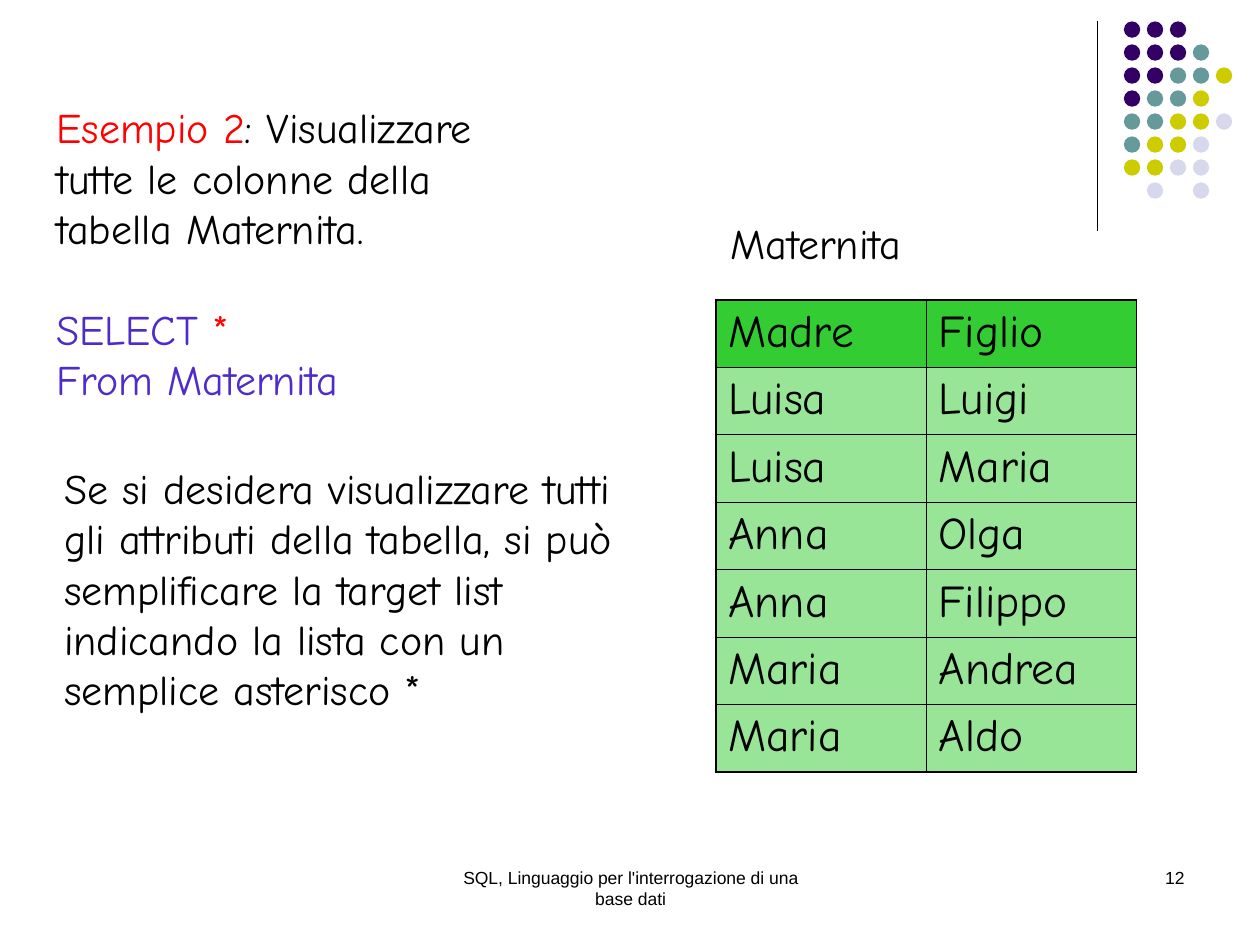
"""Build the slide on selecting every column of the Maternita table."""
from lxml.etree import SubElement
from pptx import Presentation
from pptx.dml.color import RGBColor
from pptx.enum.shapes import MSO_CONNECTOR as Connector, MSO_SHAPE as Shape
from pptx.enum.text import MSO_AUTO_SIZE as AutoSize, PP_ALIGN as Align
from pptx.oxml import parse_xml
from pptx.oxml.ns import nsdecls, qn
from pptx.util import Inches, Pt

BLACK = RGBColor(0x00, 0x00, 0x00)
RED = RGBColor(0xFF, 0x00, 0x00)
BLUE = RGBColor(0x4E, 0x2C, 0xCA)
GREEN = RGBColor(0x33, 0xCC, 0x33)
PURPLE = RGBColor(0x33, 0x00, 0x66)
TEAL = RGBColor(0x66, 0x99, 0x99)
YELLOW = RGBColor(0xCC, 0xCC, 0x00)
LILAC = RGBColor(0xD8, 0xD8, 0xEC)

BODY_FONT = "Comic Neue"
FOOTER_FONT = "Arial"
OUTER_LINE, INNER_LINE = 1.08, 0.45

DOT_COLORS = {"P": PURPLE, "T": TEAL, "Y": YELLOW, "L": LILAC}
DOT_ROWS = ["PPP", "PPPT", "PPTTY", "PTTY", "TTYYL", "TYYL", "YYLL", " L L"]
DOT_SIZE = 0.13
DOT_STEP = 0.73 / 4

ROWS = [
    ("Madre", "Figlio"),
    ("Luisa", "Luigi"),
    ("Luisa", "Maria"),
    ("Anna", "Olga"),
    ("Anna", "Filippo"),
    ("Maria", "Andrea"),
    ("Maria", "Aldo"),
]
QUERY_LINES = [
    [("Esempio 2", RED), (": Visualizzare", BLACK)],
    [("tutte le colonne della", BLACK)],
    [("tabella Maternita.", BLACK)],
    [("SELECT ", BLUE), ("*", RED)],
    [("From Maternita", BLUE)],
]
QUERY_START = 3
EXPLANATION = (
    "Se si desidera visualizzare tutti gli attributi della tabella, si può "
    "semplificare la target list indicando la lista con un semplice asterisco *"
)


def write(para, text, size=24, font=BODY_FONT, color=BLACK):
    """Append a formatted span of text to a paragraph."""
    span = para.add_run()
    span.text = text
    span.font.size = Pt(size)
    span.font.name = font
    span.font.color.rgb = color


def add_text(page, left, top, width, height, lines, align=Align.LEFT,
             wrap=True, grow=True, **style):
    """Add a text box holding lines of (text, color) spans."""
    box = page.shapes.add_textbox(
        Inches(left), Inches(top), Inches(width), Inches(height))
    frame = box.text_frame
    frame.word_wrap = wrap
    frame.auto_size = AutoSize.SHAPE_TO_FIT_TEXT if grow else AutoSize.NONE
    for index, line in enumerate(lines):
        para = frame.add_paragraph() if index else frame.paragraphs[0]
        para.alignment = align
        for text, color in line:
            write(para, text, color=color, **style)
    return box


def add_rule(page, left, top, bottom):
    """Add the thin vertical line beside the dots."""
    rule = page.shapes.add_connector(
        Connector.STRAIGHT, Inches(left), Inches(top), Inches(left), Inches(bottom))
    rule.line.color.rgb = BLACK
    rule.line.width = Pt(0.75)
    SubElement(rule.element.spPr, qn("a:effectLst"))


def add_dots(page, left, top):
    """Add the grid of coloured dots."""
    for row, marks in enumerate(DOT_ROWS):
        for column, mark in enumerate(marks):
            if mark == " ":
                continue
            dot = page.shapes.add_shape(
                Shape.OVAL, Inches(left + column * DOT_STEP),
                Inches(top + row * DOT_STEP), Inches(DOT_SIZE), Inches(DOT_SIZE))
            dot.shadow.inherit = False
            dot.fill.solid()
            dot.fill.fore_color.rgb = DOT_COLORS[mark]
            dot.line.fill.background()


def set_borders(cell, outer_sides):
    """Draw black cell borders, heavier on the outer sides."""
    properties = cell._tc.get_or_add_tcPr()
    for index, side in enumerate("LRTB"):
        width = Pt(OUTER_LINE if side in outer_sides else INNER_LINE)
        properties.insert(index, parse_xml(
            f'<a:ln{side} {nsdecls("a")} w="{width}"><a:solidFill>'
            f'<a:srgbClr val="{BLACK}"/></a:solidFill></a:ln{side}>'))


def fill_cell(cell, half_transparent):
    """Fill a cell with green, solid or half transparent."""
    cell.fill.solid()
    cell.fill.fore_color.rgb = GREEN
    if half_transparent:
        color = cell._tc.tcPr.find(".//" + qn("a:srgbClr"))
        SubElement(color, qn("a:alpha"), val="50000")


def add_mothers_table(page, left, top, width, height):
    """Add the table of mothers and children."""
    last_row, last_column = len(ROWS) - 1, len(ROWS[0]) - 1
    table = page.shapes.add_table(
        len(ROWS), len(ROWS[0]), Inches(left), Inches(top),
        Inches(width), Inches(height)).table
    for row, values in enumerate(ROWS):
        for column, value in enumerate(values):
            cell = table.cell(row, column)
            para = cell.text_frame.paragraphs[0]
            para.space_before = Pt(6.5)
            write(para, value, size=26)
            fill_cell(cell, half_transparent=row > 0)
            edges = {"L": column == 0, "R": column == last_column,
                     "T": row == 0, "B": row == last_row}
            set_borders(cell, [side for side in edges if edges[side]])


def main():
    """Build and save the slide."""
    deck = Presentation()
    deck.slide_width, deck.slide_height = Inches(10), Inches(7.5)
    page = deck.slides.add_slide(deck.slide_layouts[6])

    add_rule(page, 8.71, 0.17, 1.83)
    add_dots(page, 8.92, 0.17)

    footer = {"size": 10, "font": FOOTER_FONT, "grow": False}
    add_text(page, 3.42, 6.83, 3.17, 0.5,
             [[("SQL, Linguaggio per l'interrogazione di una base dati", BLACK)]],
             align=Align.CENTER, **footer)
    add_text(page, 7.17, 6.83, 2.33, 0.5, [[("12", BLACK)]],
             align=Align.RIGHT, **footer)

    example = add_text(page, 0.35, 0.76, 3.86, 2.5, QUERY_LINES)
    example.text_frame.paragraphs[QUERY_START].space_before = Pt(28.8)
    add_mothers_table(page, 5.68, 2.38, 3.34, 3.75)
    add_text(page, 5.7, 1.68, 1.57, 0.5, [[("Maternita", BLACK)]], wrap=False)
    add_text(page, 0.41, 3.62, 4.82, 2.1, [[(EXPLANATION, BLACK)]])

    deck.save("out.pptx")


if __name__ == "__main__":
    main()
